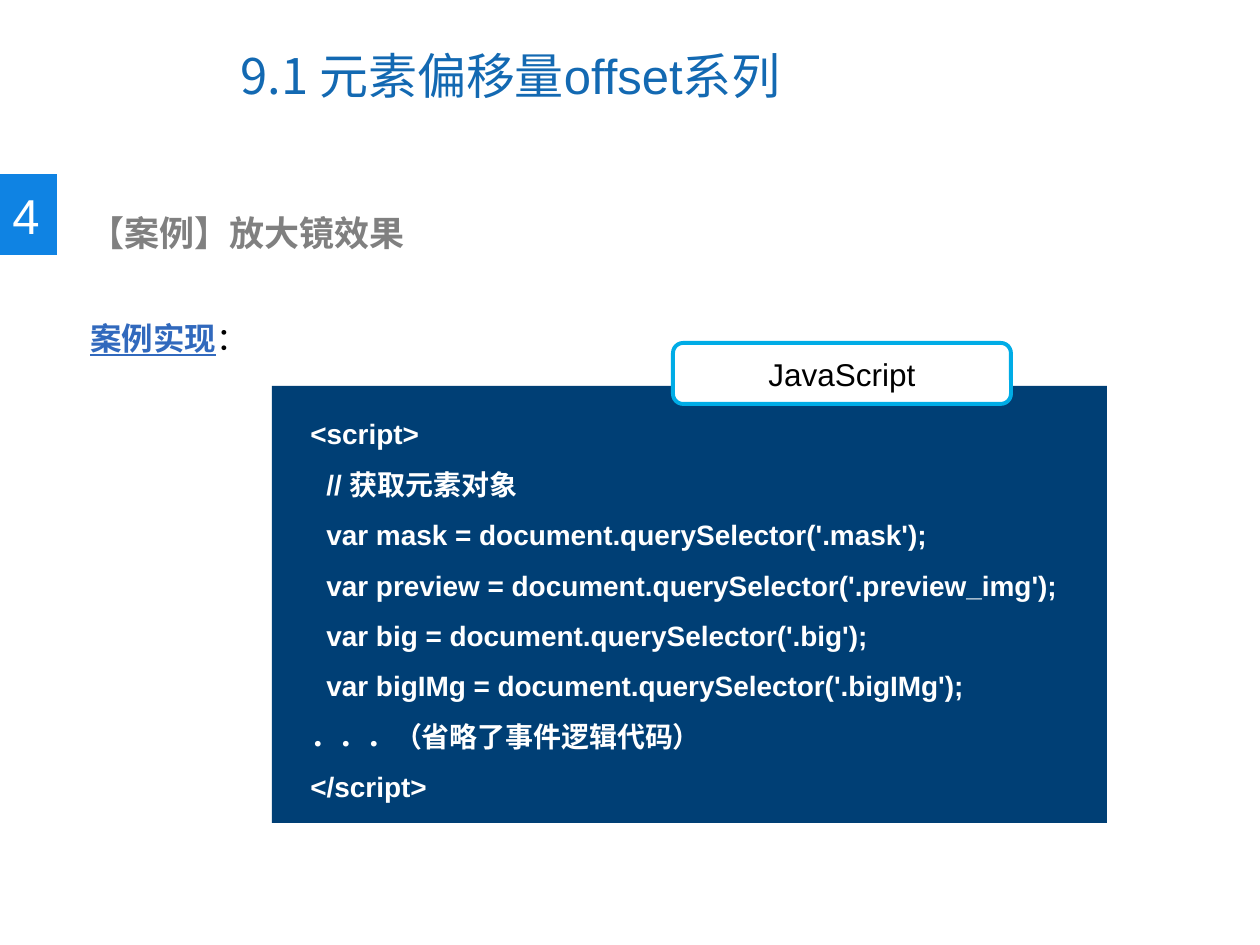
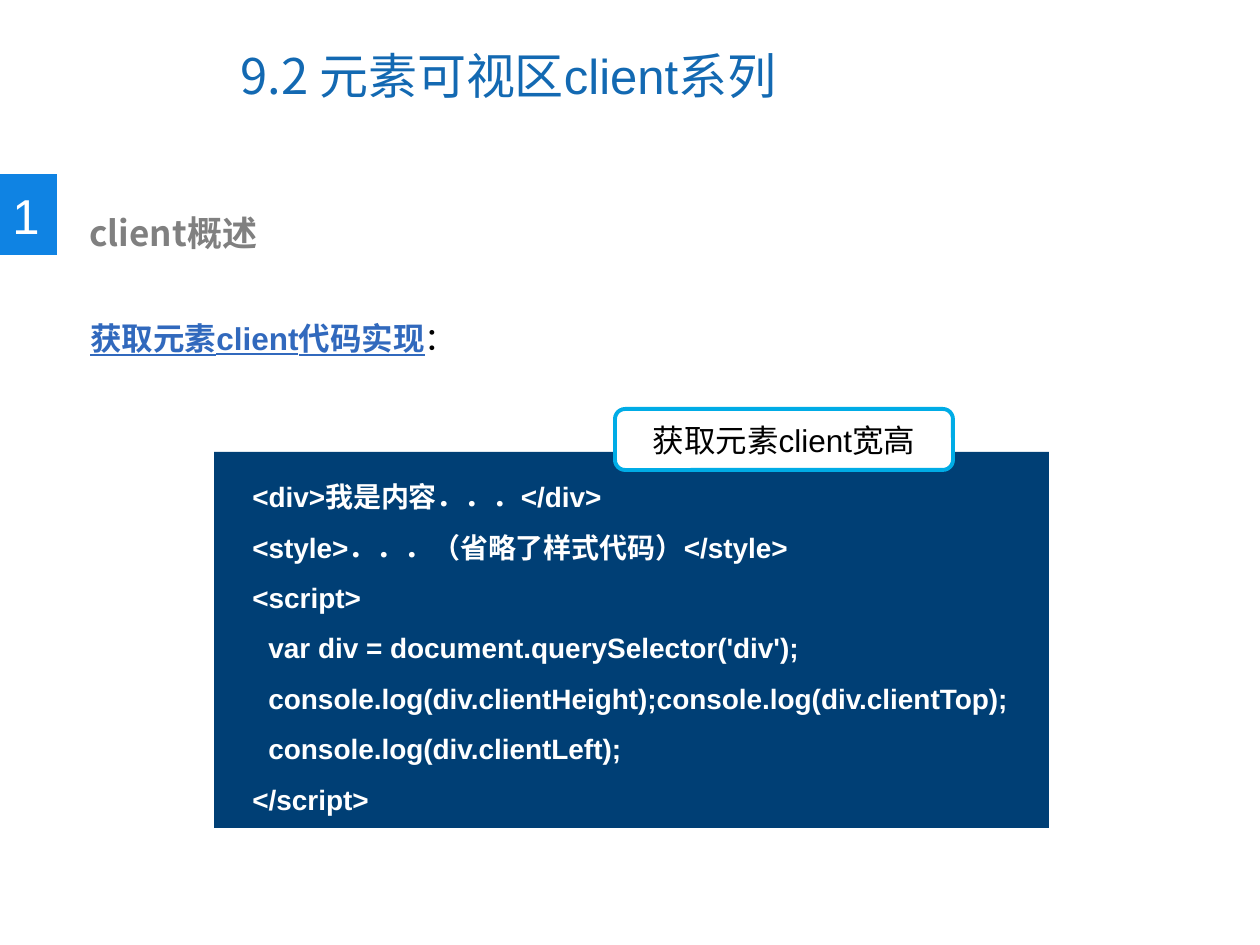
from lxml.etree import SubElement
from pptx import Presentation
from pptx.dml.color import RGBColor
from pptx.enum.shapes import MSO_SHAPE
from pptx.enum.text import MSO_ANCHOR, PP_ALIGN
from pptx.oxml.ns import qn
from pptx.util import Pt

SCALE = 914400 / 126
COLORS = {
    "title": "1369B2", "badge": "0F83E3", "head": "808080", "link": "3169BD",
    "panel": "003F75", "edge": "00ACE6", "white": "FFFFFF", "black": "000000",
}
LATIN = "Arial"
HAN = "Noto Sans CJK SC"


def px(count):
    return round(count * SCALE)


def tint(name):
    return RGBColor.from_string(COLORS[name])


def style(run, size, color, face=LATIN, bold=False, under=False):
    font = run.font
    font.size, font.name = Pt(size), face
    font.bold, font.underline = bold, under
    font.color.rgb = tint(color)
    SubElement(run._r.get_or_add_rPr(), qn("a:ea")).set("typeface", HAN)


def add_text(slide, box, anchor=MSO_ANCHOR.TOP):
    frame = slide.shapes.add_textbox(*map(px, box)).text_frame
    frame.word_wrap = True
    frame.vertical_anchor = anchor
    return frame


def add_run(para, text, *look, **more):
    run = para.add_run()
    run.text = text
    style(run, *look, **more)


def add_block(slide, kind, box, fill):
    block = slide.shapes.add_shape(kind, *map(px, box))
    block.shadow.inherit = False
    block.fill.solid()
    block.fill.fore_color.rgb = tint(fill)
    block.line.fill.background()
    return block


def add_title(slide, box, parts):
    para = add_text(slide, box, MSO_ANCHOR.MIDDLE).paragraphs[0]
    for text, face in zip(parts, (HAN, LATIN, HAN)):
        add_run(para, text, 28, "title", face)


def add_head(slide, box, number, text):
    left, top, width, height = box
    add_block(slide, MSO_SHAPE.RECTANGLE, (left, top, 57, height), "badge")
    para = add_text(slide, (left, top + 5, 53, 72)).paragraphs[0]
    add_run(para, number, 28, "white")
    para = add_text(slide, (left + 77, top + 31, width - 77, 55)).paragraphs[0]
    add_run(para, text, 20, "head", HAN, bold=True)


def add_lead(slide, box, text):
    para = add_text(slide, box).paragraphs[0]
    para.line_spacing = 2.0
    add_run(para, text, 18, "link", bold=True, under=True)
    add_run(para, "：", 18, "black")


def add_code(slide, box, pad, label, lines):
    left, top, width, height = box
    add_block(slide, MSO_SHAPE.RECTANGLE, box, "panel")
    inner = (left + 26, top + pad, width - 26, height - 2 * pad)
    frame = add_text(slide, inner)
    frame.text = "\n".join(text for level, text in lines)
    for para, (level, text) in zip(frame.paragraphs, lines):
        para.line_spacing = 1.5
        para._p.get_or_add_pPr().set("marL", str(px(16 * level)))
        style(para.runs[0], 16, "white", bold=True)
    add_tag(slide, (left + 401, top - 43, 338, 61), label)


def add_tag(slide, box, label):
    tag = add_block(slide, MSO_SHAPE.ROUNDED_RECTANGLE, box, "white")
    tag.line.color.rgb = tint("edge")
    tag.line.width = Pt(2.25)
    frame = tag.text_frame
    frame.text = label
    frame.vertical_anchor = MSO_ANCHOR.MIDDLE
    para = frame.paragraphs[0]
    para.alignment = PP_ALIGN.CENTER
    style(para.runs[0], 18, "black")


def add_page(deck, title, number, head, lead, code):
    slide = deck.slides.add_slide(deck.slide_layouts[6])
    add_title(slide, (228, 21, 650, 107), title)
    add_head(slide, (0, 174, 707, 81), number, head)
    add_lead(slide, (78, 275, 1090, 89), lead)
    add_code(slide, *code)


PAGES = [
    (
        ("9.1 元素偏移量", "offset", "系列"), "4", "【案例】放大镜效果", "案例实现",
        ((272, 386, 835, 437), 8, "JavaScript", [
            (0, "<script>"),
            (1, "// 获取元素对象"),
            (1, "var mask = document.querySelector('.mask');"),
            (1, "var preview = document.querySelector('.preview_img');"),
            (1, "var big = document.querySelector('.big');"),
            (1, "var bigIMg = document.querySelector('.bigIMg');"),
            (0, "．．．（省略了事件逻辑代码）"),
            (0, "</script>"),
        ]),
    ),
    (
        ("9.2 元素可视区", "client", "系列"), "1", "client概述", "获取元素client代码实现",
        ((214, 452, 835, 376), 5, "获取元素client宽高", [
            (0, "<div>我是内容．．．</div>"),
            (0, "<style>．．．（省略了样式代码）</style>"),
            (0, "<script>"),
            (1, "var div = document.querySelector('div');"),
            (1, "console.log(div.clientHeight);console.log(div.clientTop);"),
            (1, "console.log(div.clientLeft);"),
            (0, "</script>"),
        ]),
    ),
]


def main():
    deck = Presentation()
    deck.slide_width, deck.slide_height = px(1260), px(945)
    for page in PAGES:
        add_page(deck, *page)
    deck.save("out.pptx")


if __name__ == "__main__":
    main()
